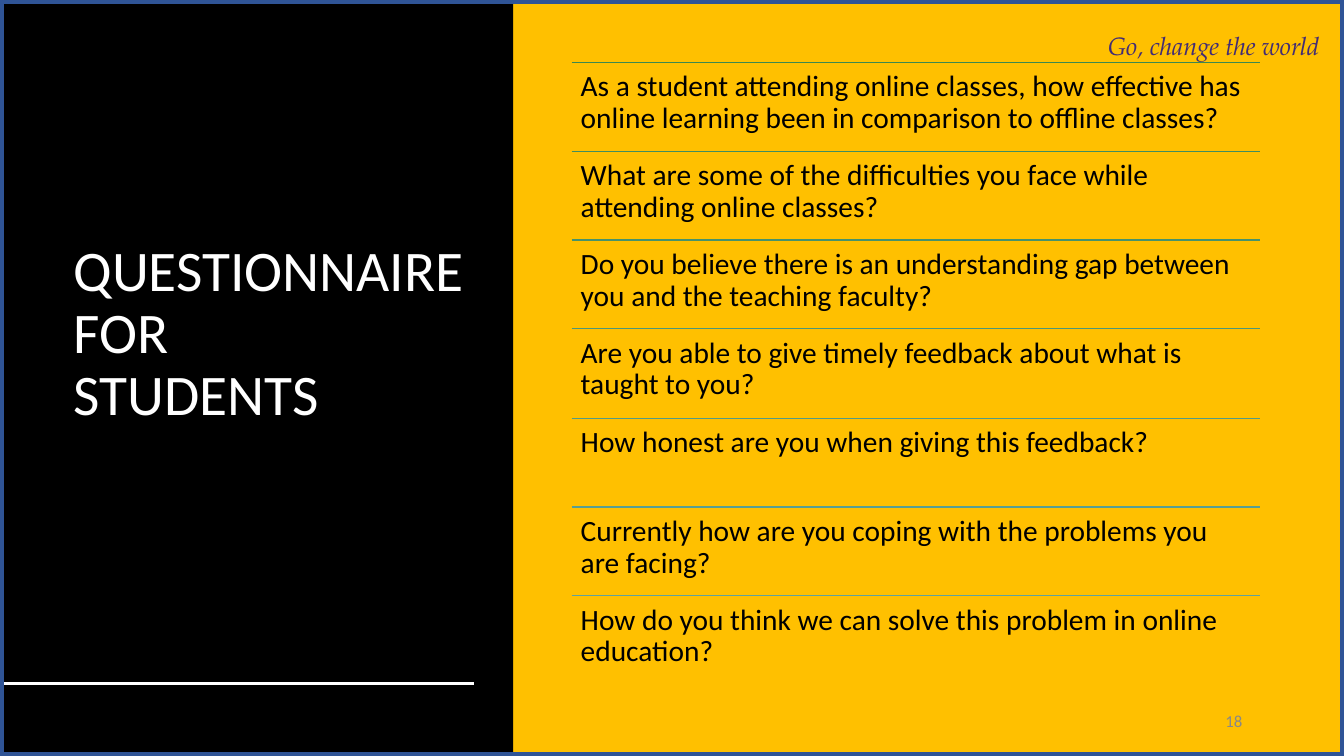
"""Build the slide with the questionnaire for students."""
from dataclasses import dataclass

from pptx import Presentation
from pptx.dml.color import RGBColor
from pptx.enum.shapes import MSO_CONNECTOR as Connector, MSO_SHAPE as Preset
from pptx.enum.text import MSO_ANCHOR as Anchor, PP_ALIGN as Align
from pptx.oxml.ns import qn
from pptx.shapes.autoshape import Shape
from pptx.shapes.shapetree import SlideShapes
from pptx.util import Emu, Pt

EMU_PER_PX = 9144
SLIDE_WIDTH, SLIDE_HEIGHT = 1333, 750
LIST_LEFT, LIST_TOP, LIST_WIDTH, LIST_HEIGHT = 567, 62, 683, 618

AMBER = RGBColor(0xFF, 0xC0, 0x00)
BLACK = RGBColor(0x00, 0x00, 0x00)
WHITE = RGBColor(0xFF, 0xFF, 0xFF)
FRAME_BLUE = RGBColor(0x2F, 0x54, 0x96)
TAGLINE_PURPLE = RGBColor(0x42, 0x2C, 0x75)
NUMBER_GREY = RGBColor(0x88, 0x88, 0x88)
RULE_1 = RGBColor(0x3B, 0x88, 0x50)
RULE_2 = RGBColor(0x41, 0x8D, 0x5F)
RULE_3 = RGBColor(0x46, 0x92, 0x6C)
RULE_4 = RGBColor(0x4C, 0x96, 0x79)
RULE_5 = RGBColor(0x52, 0x9B, 0x86)
RULE_6 = RGBColor(0x58, 0x9F, 0x93)
RULE_7 = RGBColor(0x60, 0xA2, 0x9E)


@dataclass(frozen=True)
class Question:
    """A question and the colour of the rule above it."""
    wording: str
    rule: RGBColor


QUESTIONS = [
    Question("As a student attending online classes, how effective has online learning "
             "been in comparison to offline classes?", RULE_1),
    Question("What are some of the difficulties you face while attending online classes?",
             RULE_2),
    Question("Do you believe there is an understanding gap between you and the teaching "
             "faculty?", RULE_3),
    Question("Are you able to give timely feedback about what is taught to you?", RULE_4),
    Question("How honest are you when giving this feedback?", RULE_5),
    Question("Currently how are you coping with the problems you are facing?", RULE_6),
    Question("How do you think we can solve this problem in online education?", RULE_7),
]


def px(length: int) -> Emu:
    """Turn px into EMU."""
    return Emu(length * EMU_PER_PX)


def add_text(shapes: SlideShapes, text: str, left: int, top: int, width: int, height: int, *,
             size: int, color: RGBColor, font: str = "Calibri", italic: bool = False,
             align: Align = Align.LEFT, anchor: Anchor = Anchor.TOP,
             spacing: float = 1.0, inset_x: int = 10, inset_y: int = 5) -> None:
    """Add a wrapped text box in one format."""
    box = shapes.add_textbox(px(left), px(top), px(width), px(height))
    frame = box.text_frame
    frame.word_wrap = True
    frame.vertical_anchor = anchor
    frame.margin_left = frame.margin_right = px(inset_x)
    frame.margin_top = frame.margin_bottom = px(inset_y)
    paragraph = frame.paragraphs[0]
    paragraph.text = text
    paragraph.alignment = align
    paragraph.line_spacing = spacing
    for run in paragraph.runs:
        run.font.name = font
        run.font.size = Pt(size)
        run.font.italic = italic
        run.font.color.rgb = color


def add_rule(shapes: SlideShapes, left: int, top: int, width: int,
             color: RGBColor, weight: int) -> None:
    """Add a horizontal line without a shadow."""
    rule = shapes.add_connector(Connector.STRAIGHT, px(left), px(top), px(left + width), px(top))
    rule.line.color.rgb = color
    rule.line.width = Pt(weight)
    properties = rule._element.spPr
    properties.append(properties.makeelement(qn("a:effectLst"), {}))


def add_rectangle(shapes: SlideShapes, width: int) -> Shape:
    """Add a full-height rectangle from the left edge."""
    rectangle = shapes.add_shape(Preset.RECTANGLE, 0, 0, px(width), px(SLIDE_HEIGHT))
    rectangle.shadow.inherit = False
    return rectangle


def add_questions(shapes: SlideShapes) -> None:
    """Add the questions in equal rows, each under its rule."""
    count = len(QUESTIONS)
    for index, question in enumerate(QUESTIONS):
        top = LIST_TOP + LIST_HEIGHT * index // count
        add_rule(shapes, LIST_LEFT, top, LIST_WIDTH, question.rule, 1)
        add_text(shapes, question.wording, LIST_LEFT, top, LIST_WIDTH, LIST_HEIGHT // count,
                 size=21, color=BLACK, spacing=0.9, inset_x=9, inset_y=9)


def main() -> None:
    """Build and save the slide."""
    deck = Presentation()
    deck.slide_width, deck.slide_height = px(SLIDE_WIDTH), px(SLIDE_HEIGHT)
    slide = deck.slides.add_slide(deck.slide_layouts[6])
    background = slide.background.fill
    background.solid()
    background.fore_color.rgb = AMBER
    shapes = slide.shapes

    title_panel = add_rectangle(shapes, 509)
    title_panel.fill.solid()
    title_panel.fill.fore_color.rgb = BLACK
    title_panel.line.fill.background()
    add_text(shapes, "QUESTIONNAIRE\vFOR\vSTUDENTS", 63, 61, 411, 542,
             size=41, color=WHITE, anchor=Anchor.MIDDLE, spacing=0.9)
    add_rule(shapes, 0, 678, 470, WHITE, 2)

    add_questions(shapes)
    add_text(shapes, "Go, change the world", 1089, 25, 268, 40, size=18,
             color=TAGLINE_PURPLE, font="TeX Gyre Pagella", italic=True)

    border = add_rectangle(shapes, SLIDE_WIDTH)
    border.fill.background()
    border.line.color.rgb = FRAME_BLUE
    border.line.width = Pt(6)
    add_text(shapes, "18", 942, 695, 300, 40, size=12, color=NUMBER_GREY,
             align=Align.RIGHT, anchor=Anchor.MIDDLE)

    deck.save("out.pptx")


if __name__ == "__main__":
    main()
